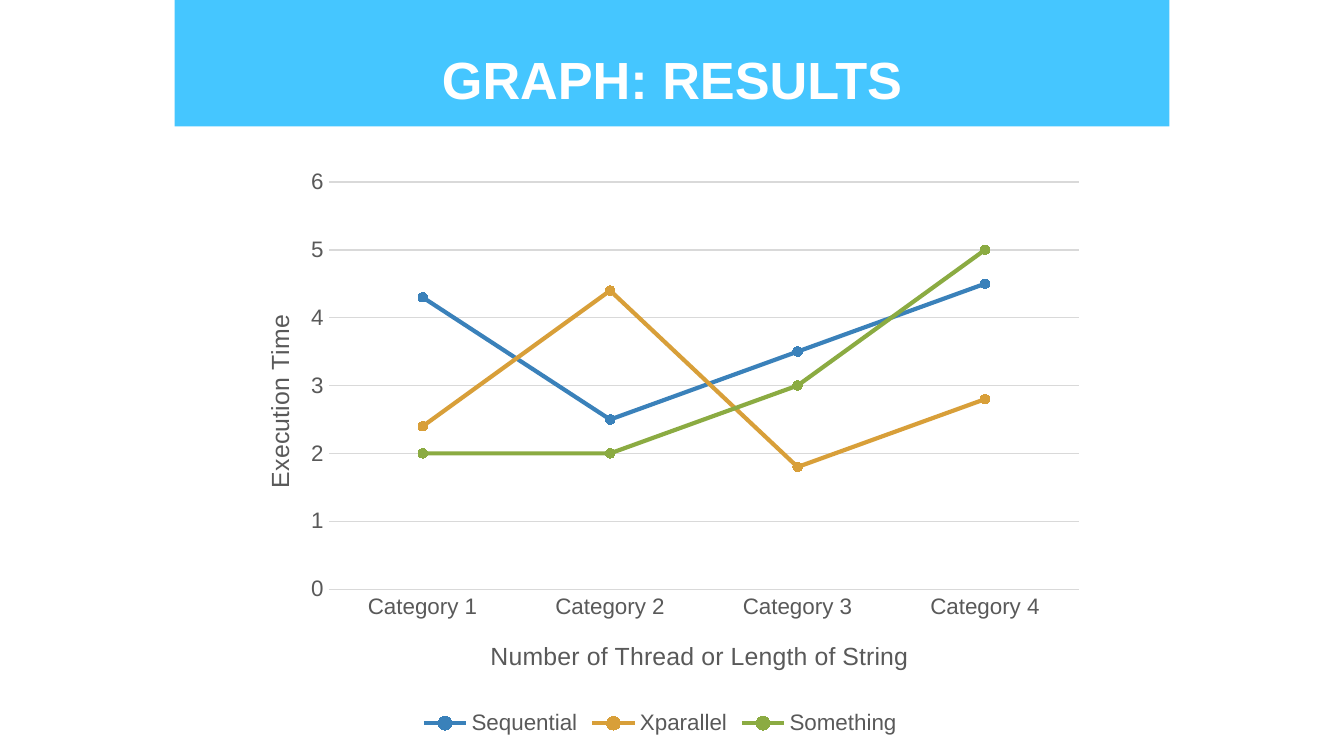
from lxml.etree import SubElement
from pptx import Presentation
from pptx.chart.data import CategoryChartData
from pptx.dml.color import RGBColor
from pptx.enum.chart import XL_CHART_TYPE as ChartType, XL_LEGEND_POSITION as LegendPos
from pptx.enum.chart import XL_MARKER_STYLE as Marker, XL_TICK_MARK as Tick
from pptx.enum.shapes import MSO_SHAPE as Shape
from pptx.enum.text import MSO_ANCHOR as Anchor, PP_ALIGN as Align
from pptx.oxml import parse_xml
from pptx.oxml.ns import nsdecls, qn
from pptx.util import Cm, Pt

# Content
HEADING = "GRAPH: RESULTS"
X_TITLE = "Number of Thread or Length of String"
Y_TITLE = "Execution Time"
CATEGORIES = ["Category 1", "Category 2", "Category 3", "Category 4"]
SERIES = [
    ("Sequential", "3A81BA", (4.3, 2.5, 3.5, 4.5)),
    ("Xparallel", "D89F39", (2.4, 4.4, 1.8, 2.8)),
    ("Something", "8BAB42", (2, 2, 3, 5)),
]
FONT, GREY, GRID = "Arial", "595959", "D9D9D9"
WIDTH, HEIGHT = 25.4, 14.29
COLUMN_LEFT, COLUMN_WIDTH = 3.3, 18.8

# Panels: left, top, width, height, colour, opacity in percent
PANELS = [
    (0, 0, WIDTH, HEIGHT, "FFFFFF", 27),
    (COLUMN_LEFT, 0, COLUMN_WIDTH, 2.39, "00B2FF", 73),
    (COLUMN_LEFT, 2.69, COLUMN_WIDTH, 11.28, "FFFFFF", 67),
]


def rgb(value):
    return RGBColor.from_string(value)


def style_font(font, size, color, bold=False):
    font.name, font.size, font.bold = FONT, Pt(size), bold
    font.color.rgb = rgb(color)


def add_panel(left, top, width, height, color, opacity):
    panel = slide.shapes.add_shape(Shape.RECTANGLE, Cm(left), Cm(top), Cm(width), Cm(height))
    panel.shadow.inherit = False
    panel.line.fill.background()
    panel.fill.solid()
    panel.fill.fore_color.rgb = rgb(color)
    tint = panel.fill._xPr.find(".//" + qn("a:srgbClr"))
    SubElement(tint, qn("a:alpha"), val=str(opacity * 1000))


def place(parent, index, inner=False, **fractions):
    """Give a chart part a fixed place, in fractions of the chart."""
    for old in parent.findall(qn("c:layout")):
        parent.remove(old)
    target = '<c:layoutTarget val="inner"/>' if inner else ""
    modes = '<c:xMode val="edge"/><c:yMode val="edge"/>'
    values = "".join(f'<c:{key} val="{value}"/>' for key, value in fractions.items())
    parent.insert(index, parse_xml(
        f'<c:layout {nsdecls("c")}><c:manualLayout>{target}{modes}{values}'
        '</c:manualLayout></c:layout>'))


def style_axis(axis, title, x, y):
    axis.major_tick_mark = axis.minor_tick_mark = Tick.NONE
    style_font(axis.tick_labels.font, 12, GREY)
    run = axis.axis_title.text_frame.paragraphs[0].add_run()
    run.text = title
    style_font(run.font, 13.3, GREY)
    place(axis.axis_title._element, 1, x=x, y=y)


deck = Presentation()
deck.slide_width, deck.slide_height = Cm(WIDTH), Cm(HEIGHT)
slide = deck.slides.add_slide(deck.slide_layouts[6])

for panel_spec in PANELS:
    add_panel(*panel_spec)

# Heading
heading = slide.shapes.add_textbox(Cm(COLUMN_LEFT), Cm(0.53), Cm(COLUMN_WIDTH), Cm(1.4)).text_frame
heading.word_wrap = True
heading.vertical_anchor = Anchor.TOP
heading.margin_top, heading.margin_bottom = Cm(0.37), 0
heading_line = heading.paragraphs[0]
heading_line.alignment = Align.CENTER
heading_run = heading_line.add_run()
heading_run.text = HEADING
style_font(heading_run.font, 28, "FFFFFF", bold=True)

# Results chart
results = CategoryChartData()
results.categories = CATEGORIES
for name, _, values in SERIES:
    results.add_series(name, values)
chart = slide.shapes.add_chart(
    ChartType.LINE_MARKERS, Cm(4.24), Cm(3), Cm(16.48), Cm(11), results).chart
style_font(chart.font, 10, "000000")
chart.has_title = False
chart.has_legend = True
chart.legend.position = LegendPos.BOTTOM
chart.legend.include_in_layout = False
style_font(chart.legend.font, 12, GREY)
chart.plots[0].vary_by_categories = False

# Lines and markers
for line, (_, color, _) in zip(chart.plots[0].series, SERIES):
    line.smooth = False
    line.format.line.width = Pt(2.25)
    line.format.line.color.rgb = rgb(color)
    line.marker.style, line.marker.size = Marker.CIRCLE, 5
    line.marker.format.fill.solid()
    line.marker.format.fill.fore_color.rgb = rgb(color)
    line.marker.format.line.color.rgb = rgb(color)

# Axes
x_axis, y_axis = chart.category_axis, chart.value_axis
style_axis(x_axis, X_TITLE, 0.3, 0.82)
style_axis(y_axis, Y_TITLE, 0.04, 0.26)
y_axis.minimum_scale, y_axis.maximum_scale, y_axis.major_unit = 0, 6, 1
y_axis.format.line.fill.background()
for rule in (x_axis.format.line, y_axis.major_gridlines.format.line):
    rule.color.rgb = rgb(GRID)
    rule.width = Pt(0.75)
place(chart._chartSpace.find(".//" + qn("c:plotArea")), 0, inner=True,
      x=0.12, y=0.04, w=0.86, h=0.7)

deck.save("out.pptx")
